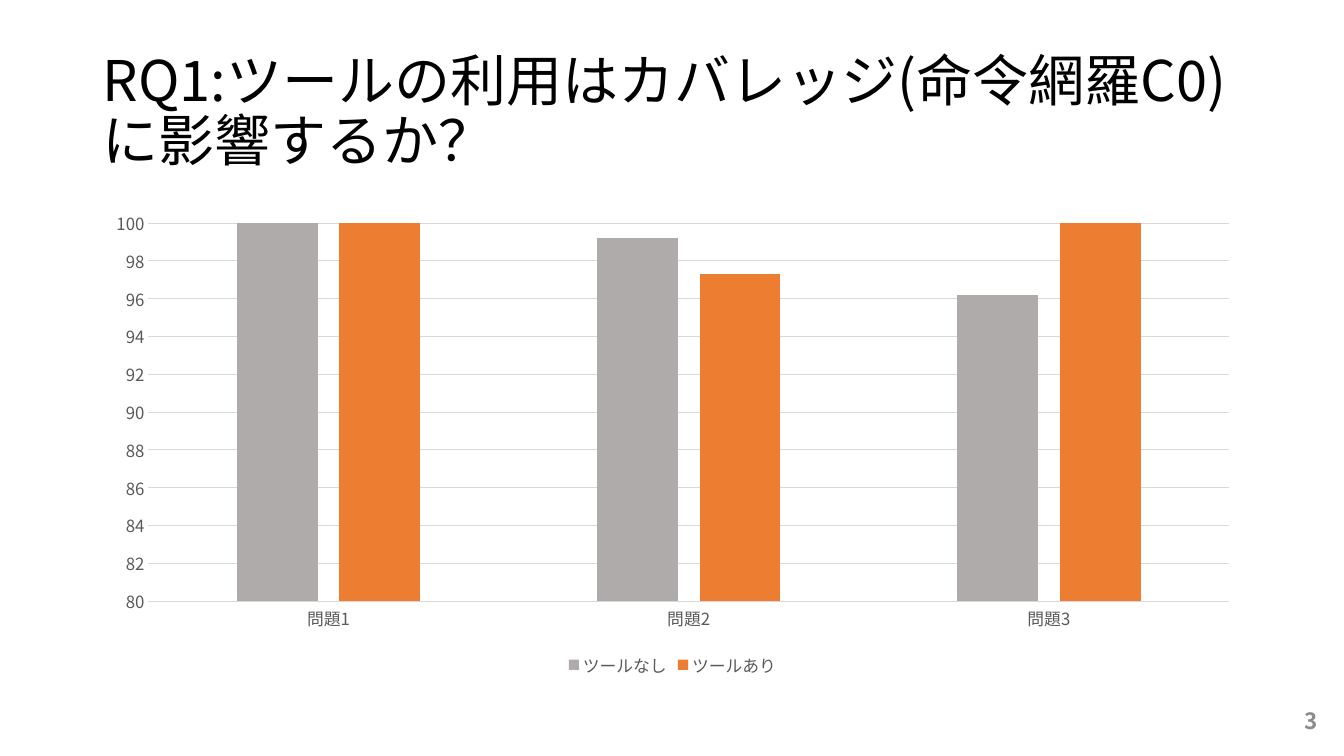
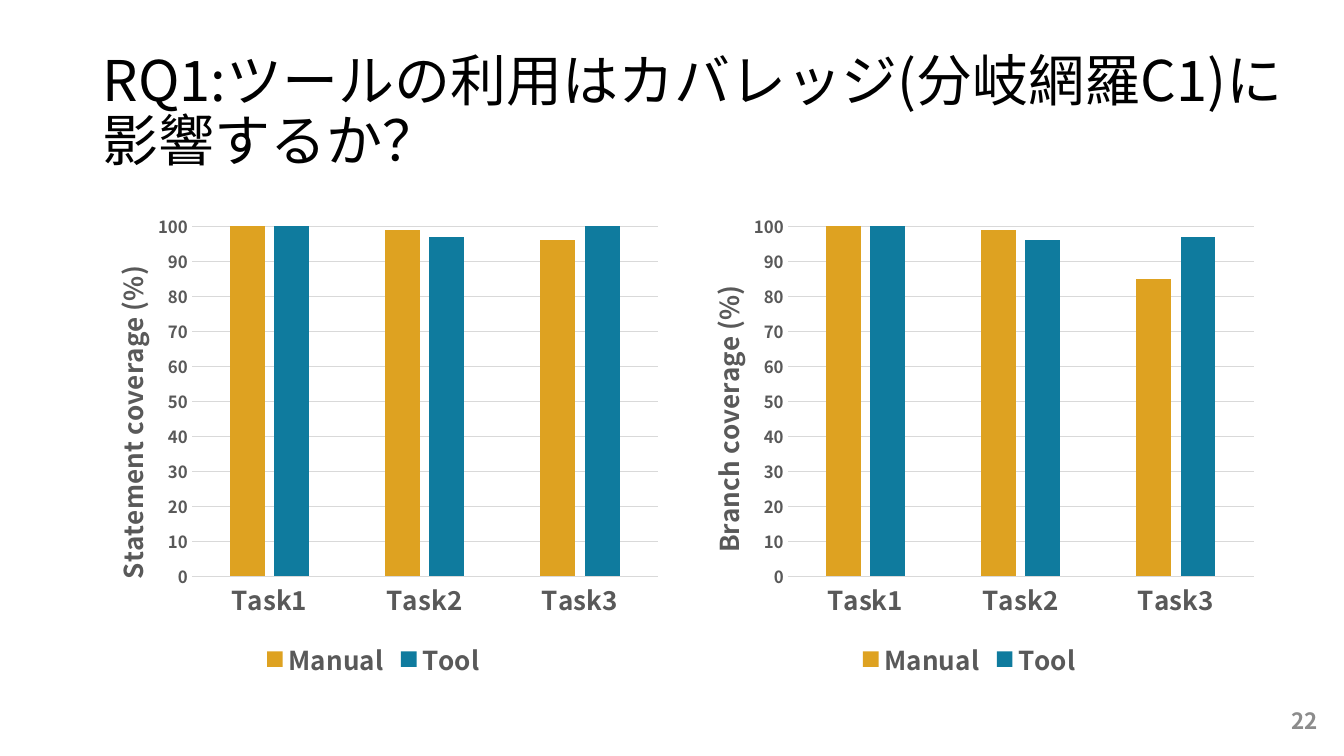
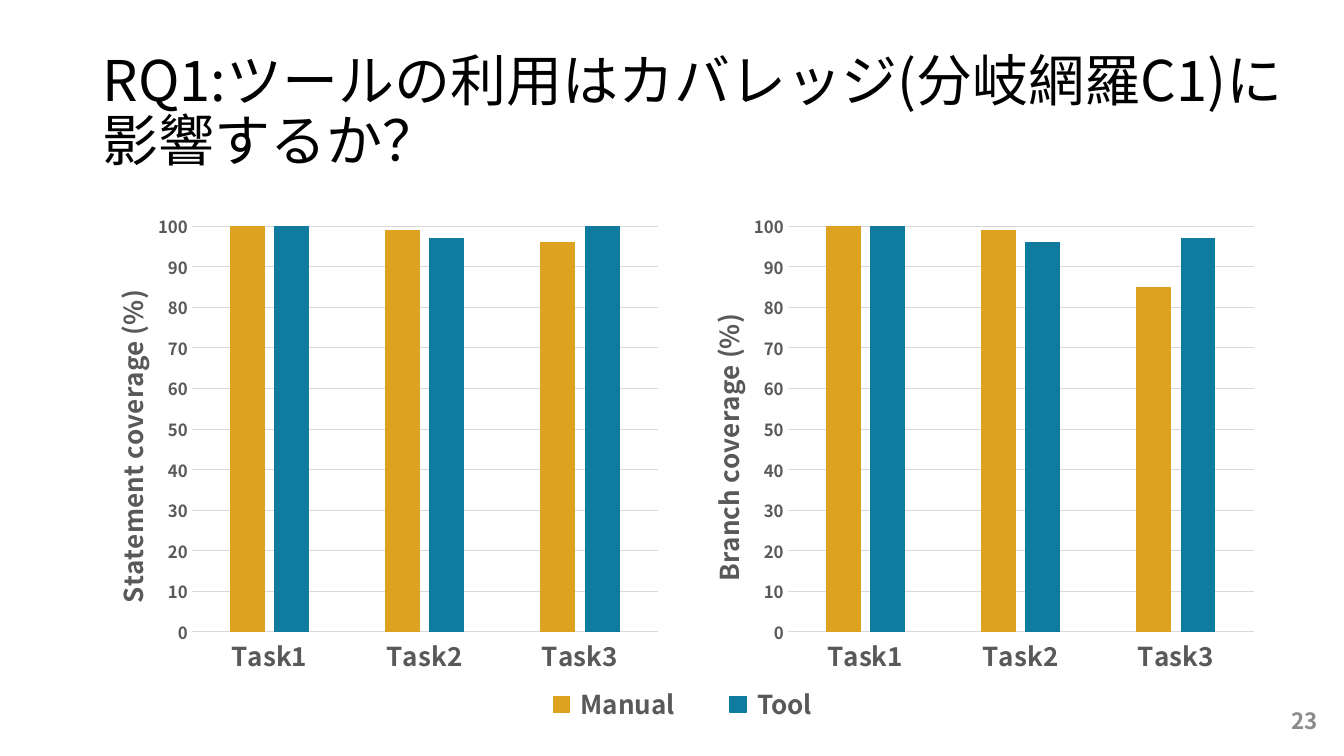
from pptx import Presentation
from pptx import util as u
from pptx.chart.data import CategoryChartData
from pptx.dml.color import RGBColor
from pptx.enum import chart as ch, shapes, text
from pptx.oxml import parse_xml
from pptx.oxml.ns import nsdecls, qn

FONT = "Noto Sans CJK JP"
COLORS = {
    "title": "000000", "label": "595959", "grid": "D9D9D9", "number": "8C8C8C",
    "without": "AFABAB", "with": "ED7D31", "manual": "DEA221", "tool": "0F7B9E",
}
TASKS = ["Task1", "Task2", "Task3"]
LABEL_SIZE = 18.6
AXIS_TITLE_SHIFT = 0.03
COVERAGE_CHARTS = [
    ("Statement coverage (%)", 0.65, [100, 99, 96], [100, 97, 100]),
    ("Branch coverage (%)", 0.56, [100, 99, 85], [100, 96, 97]),
]


def rgb(name):
    return RGBColor.from_string(COLORS[name])


def format_font(font, size, color, bold=False):
    font.name = FONT
    font.size = u.Pt(size)
    font.bold = bold
    font.color.rgb = rgb(color)


def set_east_asian_font(root):
    for latin in list(root.iter(qn("a:latin"))):
        latin.addnext(parse_xml(f'<a:ea {nsdecls("a")} typeface="{FONT}"/>'))


def write(frame, content, size=LABEL_SIZE, color="label", bold=True,
          align=text.PP_ALIGN.LEFT, anchor=text.MSO_ANCHOR.TOP, spacing=1.0):
    frame.word_wrap = True
    frame.auto_size = text.MSO_AUTO_SIZE.NONE
    frame.vertical_anchor = anchor
    paragraph = frame.paragraphs[0]
    paragraph.alignment = align
    paragraph.line_spacing = spacing
    run = paragraph.add_run()
    run.text = content
    format_font(run.font, size, color, bold)


def place(shape, box):
    shape.left, shape.top, shape.width, shape.height = map(u.Inches, box)


def add_label(slide, content, box, **style):
    label = slide.shapes.add_textbox(*map(u.Inches, box))
    write(label.text_frame, content, **style)


def start_slide(deck, heading, number, title_width):
    slide = deck.slides.add_slide(deck.slide_layouts[5])
    place(slide.shapes.title, (0.92, 0.4, title_width, 1.45))
    write(slide.shapes.title.text_frame, heading, size=40, color="title", bold=False,
          anchor=text.MSO_ANCHOR.MIDDLE, spacing=0.9)
    add_label(slide, number, (10.17, 6.95, 3, 0.4), size=16, color="number",
              align=text.PP_ALIGN.RIGHT, anchor=text.MSO_ANCHOR.MIDDLE)
    return slide


def layout_xml(inner=False, **fractions):
    target = '<c:layoutTarget val="inner"/>' if inner else ""
    modes = "".join(f'<c:{key}Mode val="edge"/>' for key in "xy")
    values = "".join(f'<c:{key} val="{value:.2f}"/>' if not inner
                     else f'<c:{key} val="{value}"/>' for key, value in fractions.items())
    return parse_xml(f'<c:layout {nsdecls("c")}><c:manualLayout>{target}{modes}{values}'
                     "</c:manualLayout></c:layout>")


def set_layout(parent, index, layout):
    for old in parent.findall(qn("c:layout")):
        parent.remove(old)
    parent.insert(index, layout)


def add_axis_title(chart, content, length, plot):
    axis = chart.value_axis
    axis.has_title = True
    run = axis.axis_title.text_frame.paragraphs[0].add_run()
    run.text = content
    format_font(run.font, LABEL_SIZE, "label", True)
    title = chart._chartSpace.find(".//" + qn("c:valAx")).find(qn("c:title"))
    body = title.find(".//" + qn("a:bodyPr"))
    body.set("rot", "-5400000")
    body.set("vert", "horz")
    middle = plot[1] + plot[3] / 2 + AXIS_TITLE_SHIFT
    set_layout(title, 1, layout_xml(x=0.05, y=middle - length / 2))


def add_columns(slide, box, categories, series, plot, low, step, label_size,
                bold=False, legend=True, axis_title=None):
    data = CategoryChartData()
    data.categories = categories
    for name, _, values in series:
        data.add_series(name, values)
    chart = slide.shapes.add_chart(
        ch.XL_CHART_TYPE.COLUMN_CLUSTERED, *map(u.Inches, box), data).chart
    format_font(chart.font, 10, "title")
    chart.has_title = False

    columns = chart.plots[0]
    columns.vary_by_categories = False
    columns.gap_width = 219
    columns.overlap = -27
    for column, (_, color, _) in zip(columns.series, series):
        column.format.fill.solid()
        column.format.fill.fore_color.rgb = rgb(color)

    categories_axis, values_axis = chart.category_axis, chart.value_axis
    for axis, size in ((categories_axis, label_size), (values_axis, 12)):
        axis.major_tick_mark = axis.minor_tick_mark = ch.XL_TICK_MARK.NONE
        format_font(axis.tick_labels.font, size, "label", bold)
    values_axis.minimum_scale, values_axis.maximum_scale = low, 100
    values_axis.major_unit = step
    values_axis.has_major_gridlines = True
    values_axis.format.line.fill.background()
    for line in (categories_axis.format.line, values_axis.major_gridlines.format.line):
        line.color.rgb = rgb("grid")
        line.width = u.Pt(0.75)

    chart.has_legend = legend
    if legend:
        chart.legend.position = ch.XL_LEGEND_POSITION.BOTTOM
        chart.legend.include_in_layout = False
        format_font(chart.legend.font, label_size, "label", bold)
    set_layout(chart._chartSpace.find(".//" + qn("c:plotArea")), 0,
               layout_xml(inner=True, **dict(zip("xywh", plot))))
    if axis_title:
        add_axis_title(chart, *axis_title, plot)
    set_east_asian_font(chart._chartSpace)


def add_coverage_pair(slide, box, plot_height, names, legend):
    left, top, width, height = box
    for index, (caption, length, manual, tool) in enumerate(COVERAGE_CHARTS):
        add_columns(slide, (left + index * width / 2, top, width / 2, height), TASKS,
                    [(names[0], "manual", manual), (names[1], "tool", tool)],
                    plot=(0.195, 0.047, 0.782, plot_height), low=0, step=10,
                    label_size=LABEL_SIZE, bold=True, legend=legend,
                    axis_title=(caption, length))


def add_shared_legend(slide, left, top):
    for index, (name, color) in enumerate((("Manual", "manual"), ("Tool", "tool"))):
        x = left + index * 1.75
        key = slide.shapes.add_shape(
            shapes.MSO_SHAPE.RECTANGLE, *map(u.Inches, (x, top + 0.13, 0.16, 0.16)))
        key.shadow.inherit = False
        key.fill.solid()
        key.fill.fore_color.rgb = rgb(color)
        key.line.color.rgb = rgb(color)
        key.line.width = u.Pt(1)
        add_label(slide, name, (x + 0.17, top, 1.22, 0.41))


def build_statement_slide(deck):
    slide = start_slide(
        deck, "RQ1:ツールの利用はカバレッジ(命令網羅C0)に影響するか？", "3", 11.83)
    add_columns(slide, (0.92, 2, 11.5, 4.76), ["問題1", "問題2", "問題3"],
                [("ツールなし", "without", [100, 99.2, 96.2]),
                 ("ツールあり", "with", [100, 97.3, 100])],
                plot=(0.048, 0.045, 0.932, 0.788), low=80, step=2, label_size=12)


def build_branch_slide(deck, number, plot_height, names, own_legends):
    slide = start_slide(
        deck, "RQ1:ツールの利用はカバレッジ(分岐網羅C1)に影響するか？", number, 12.01)
    add_coverage_pair(slide, (0.75, 2.02, 11.82, 4.76), plot_height, names, own_legends)
    if not own_legends:
        add_shared_legend(slide, 5.49, 6.78)


def main():
    deck = Presentation()
    deck.slide_width, deck.slide_height = u.Inches(13.33), u.Inches(7.5)
    build_statement_slide(deck)
    build_branch_slide(deck, "22", 0.73, ("Manual", "Tool"), True)
    build_branch_slide(deck, "23", 0.846, ("Series 1", "Series 2"), False)
    for slide in deck.slides:
        set_east_asian_font(slide.element)
    deck.save("out.pptx")


if __name__ == "__main__":
    main()
